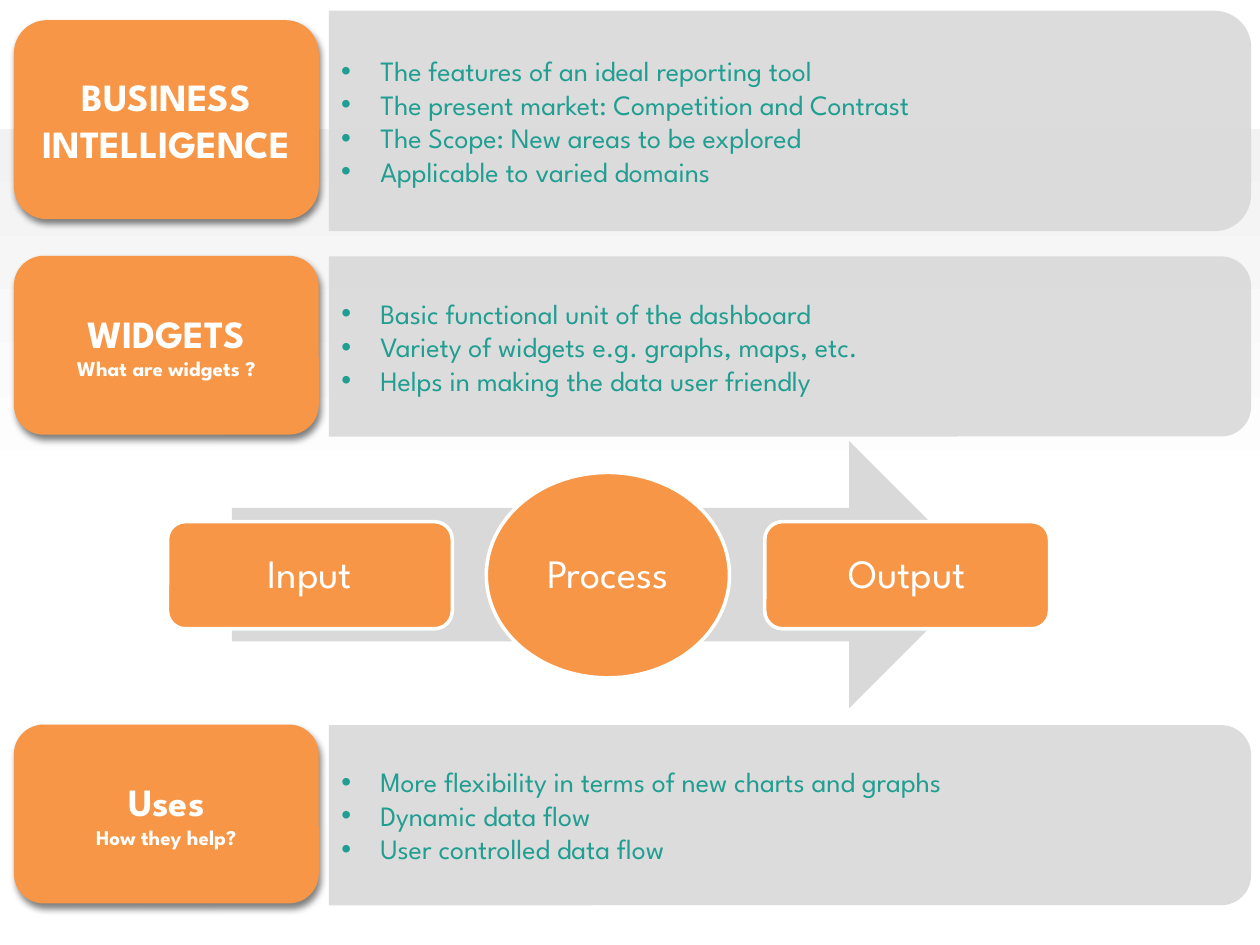
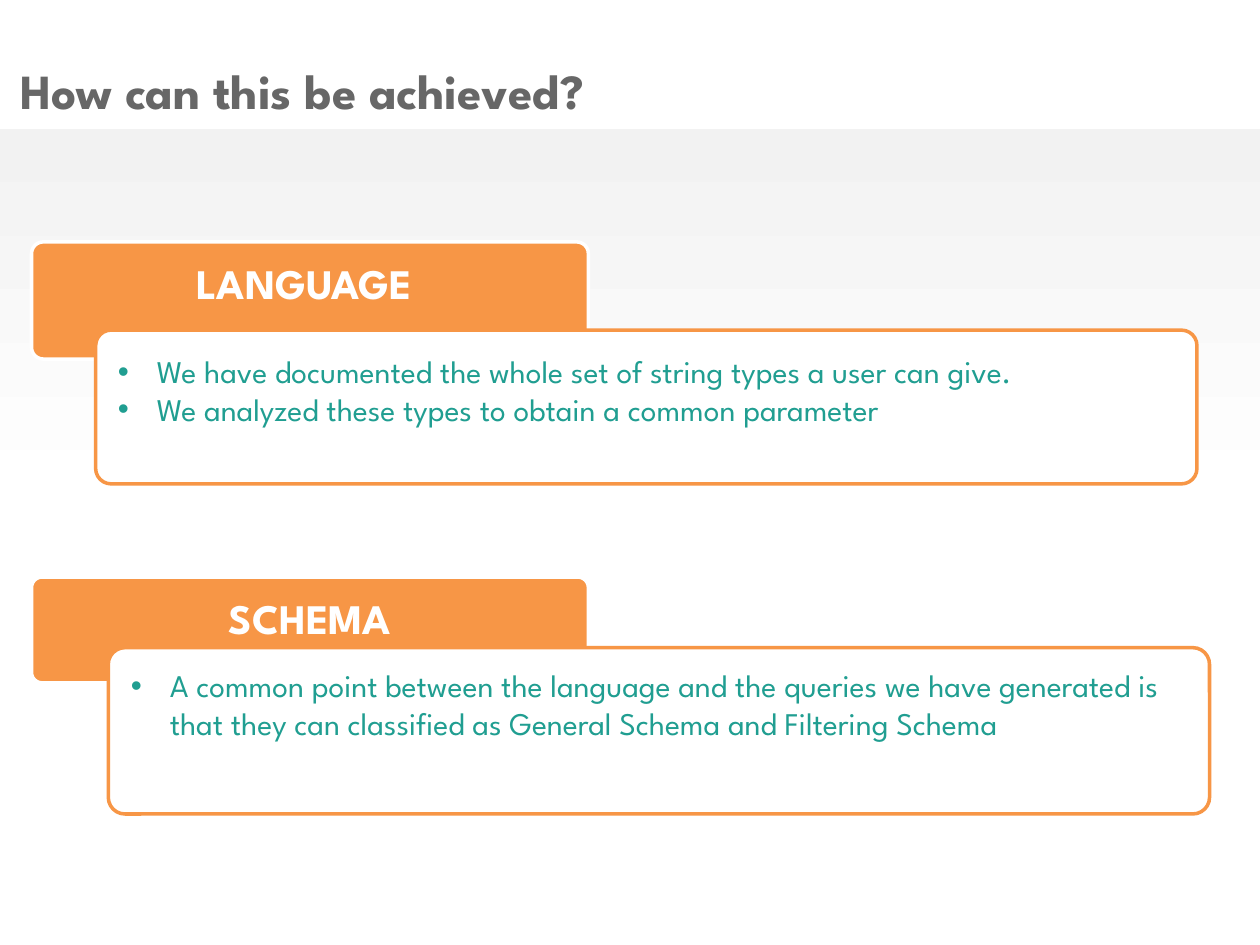
"""Build two slides on a dashboard reporting tool: an overview and its approach."""
from dataclasses import dataclass

import pptx
import pptx.dml.color
import pptx.enum.shapes
import pptx.enum.text
import pptx.oxml
import pptx.oxml.ns
import pptx.presentation
import pptx.shapes.autoshape
import pptx.slide
import pptx.text.text
import pptx.util
from lxml import etree

Inches = pptx.util.Inches
Pt = pptx.util.Pt
MSO = pptx.enum.shapes.MSO_SHAPE
ALIGN = pptx.enum.text.PP_ALIGN
ANCHOR = pptx.enum.text.MSO_ANCHOR
Shape = pptx.shapes.autoshape.Shape
Slide = pptx.slide.Slide
qn = pptx.oxml.ns.qn

FONT = "League Spartan"
COLORS = {
    "orange": "F79646",
    "gray": "D9D9D9",
    "teal": "209E91",
    "white": "FFFFFF",
    "band": "F2F2F2",
    "title": "676767",
    "shadow": "000000",
}
PANEL_CENTER_X, PANEL_WIDTH = 6.27, 7.32
CARD_LEFT, CARD_WIDTH = 0.11, 2.42
BULLET_INDENT = 0.31


@dataclass(frozen=True)
class Line:
    text: str
    size: float
    color: str = "white"
    bold: bool = False


@dataclass(frozen=True)
class Topic:
    top: float
    card_height: float
    panel_height: float
    heading: tuple[Line, ...]
    bullets: tuple[str, ...]


@dataclass(frozen=True)
class Step:
    name: str
    kind: MSO
    left: float
    top: float
    width: float
    height: float


@dataclass(frozen=True)
class Section:
    heading: str
    top: float
    tab_height: float
    panel_left: float
    panel_top: float
    panel_height: float
    panel_inset: float
    bullets: tuple[str, ...]


TOPICS = (
    Topic(0.16, 1.58, 1.75,
          (Line("BUSINESS", 22, bold=True), Line("INTELLIGENCE", 22, bold=True)),
          ("The features of an ideal reporting tool",
           "The present market: Competition and Contrast",
           "The Scope: New areas to be explored",
           "Applicable to varied domains")),
    Topic(2.03, 1.42, 1.43,
          (Line("WIDGETS", 22, bold=True), Line("What are widgets ?", 12, bold=True)),
          ("Basic functional unit of the dashboard",
           "Variety of widgets e.g. graphs, maps, etc.",
           "Helps in making the data user friendly")),
    Topic(5.75, 1.42, 1.43,
          (Line("Uses", 22, bold=True), Line("How they help?", 12, bold=True)),
          ("More flexibility in terms of new charts and graphs",
           "Dynamic data flow",
           "User controlled data flow")),
)
STEPS = (
    Step("Input", MSO.ROUNDED_RECTANGLE, 1.33, 4.14, 2.26, 0.85),
    Step("Process", MSO.FLOWCHART_CONNECTOR, 3.86, 3.75, 1.93, 1.63),
    Step("Output", MSO.ROUNDED_RECTANGLE, 6.07, 4.14, 2.26, 0.85),
)
SECTIONS = (
    Section("LANGUAGE ", 1.92, 0.93, 0.76, 2.62, 1.22, 0.14,
            ("We have documented the whole set of string types a user can give.",
             "We analyzed these types to obtain a common parameter")),
    Section("SCHEMA", 4.58, 0.84, 0.86, 5.14, 1.32, 0.11,
            ("A common point between the language and the queries we have generated is "
             "that they can classified as General Schema and Filtering Schema",)),
)


def rgb(name: str) -> pptx.dml.color.RGBColor:
    """Return the named palette colour."""
    return pptx.dml.color.RGBColor.from_string(COLORS[name])


def add_box(slide: Slide, kind: MSO, left: float, top: float, width: float, height: float,
            fill: str, line: str | None = None, alpha: int = 100) -> Shape:
    """Add a filled preset shape, with an optional outline and opacity in percent."""
    sp = slide.shapes.add_shape(kind, Inches(left), Inches(top), Inches(width), Inches(height))
    sp.shadow.inherit = False
    sp.fill.solid()
    sp.fill.fore_color.rgb = rgb(fill)
    if alpha < 100:
        clr = sp._element.spPr.find(qn("a:solidFill")).find(qn("a:srgbClr"))
        etree.SubElement(clr, qn("a:alpha"), val=str(alpha * 1000))
    if line:
        sp.line.color.rgb = rgb(line)
        sp.line.width = Pt(2)
    else:
        sp.line.fill.background()
    return sp


def add_shadow(sp: Shape) -> None:
    """Give a shape a soft shadow below and to the right."""
    effects = sp._element.spPr.find(qn("a:effectLst"))
    outer = etree.SubElement(effects, qn("a:outerShdw"), blurRad=str(Pt(4)),
                             dist=str(Pt(3)), dir=str(65 * 60000), rotWithShape="0")
    clr = etree.SubElement(outer, qn("a:srgbClr"), val=COLORS["shadow"])
    etree.SubElement(clr, qn("a:alpha"), val="49000")


def add_bullet(p: pptx.text.text._Paragraph) -> None:
    """Turn a paragraph into a bullet with a hanging indent."""
    pPr = p._p.get_or_add_pPr()
    pPr.set("marL", str(Inches(BULLET_INDENT)))
    pPr.set("indent", str(-Inches(BULLET_INDENT)))
    etree.SubElement(pPr, qn("a:buFont"), typeface="Arial")
    etree.SubElement(pPr, qn("a:buChar"), char="•")


def write(sp: Shape, lines: tuple[Line, ...], align: ALIGN = ALIGN.CENTER,
          anchor: ANCHOR = ANCHOR.MIDDLE, bulleted: bool = False) -> None:
    """Write one paragraph per line into a shape."""
    tf = sp.text_frame
    tf.word_wrap = True
    tf.vertical_anchor = anchor
    for i, line in enumerate(lines):
        p = tf.add_paragraph() if i else tf.paragraphs[0]
        p.alignment = align
        if bulleted:
            add_bullet(p)
        r = p.add_run()
        r.text = line.text
        r.font.name = FONT
        r.font.size = Pt(line.size)
        r.font.bold = line.bold
        r.font.color.rgb = rgb(line.color)


def write_bullets(sp: Shape, bullets: tuple[str, ...], size: float, anchor: ANCHOR) -> None:
    """Write teal bullets into a shape."""
    lines = tuple(Line(text, size, "teal") for text in bullets)
    write(sp, lines, ALIGN.LEFT, anchor, bulleted=True)


def set_insets(sp: Shape, inset: float, top: float) -> None:
    """Set the side and top insets of a shape's text."""
    tf = sp.text_frame
    tf.margin_left = tf.margin_right = Inches(inset)
    tf.margin_top = Inches(top)


def add_slide(prs: pptx.presentation.Presentation, layout: int) -> Slide:
    """Add a slide with the shared gradient band at the back."""
    s = prs.slides.add_slide(prs.slide_layouts[layout])
    band = add_box(s, MSO.RECTANGLE, 0, 1.02, 10, 2.98, "band")
    band.fill.gradient()
    band.fill.gradient_angle = 270
    for position, (stop, name) in enumerate(zip(band.fill.gradient_stops, ("band", "white"))):
        stop.color.rgb = rgb(name)
        stop.position = position
    s.shapes._spTree.insert(2, band._element)
    return s


def add_topic(s: Slide, topic: Topic) -> None:
    """Draw a heading card and the bullet panel on its right."""
    center_y = topic.top + topic.card_height / 2 + 0.01
    panel = add_box(s, MSO.ROUND_2_SAME_RECTANGLE,
                    PANEL_CENTER_X - topic.panel_height / 2, center_y - PANEL_WIDTH / 2,
                    topic.panel_height, PANEL_WIDTH, "gray", alpha=90)
    panel.rotation = 90
    write_bullets(panel, topic.bullets, 16, ANCHOR.MIDDLE)
    panel.text_frame._txBody.bodyPr.set("vert", "vert270")
    card = add_box(s, MSO.ROUNDED_RECTANGLE, CARD_LEFT, topic.top,
                   CARD_WIDTH, topic.card_height, "orange")
    add_shadow(card)
    write(card, topic.heading)


def add_step(s: Slide, step: Step) -> None:
    """Draw one step of the process arrow."""
    sp = add_box(s, step.kind, step.left, step.top, step.width, step.height, "orange", "white")
    write(sp, (Line(step.name, 23),))
    sp.text_frame.paragraphs[0].line_spacing = 0.9


def add_section(s: Slide, section: Section) -> None:
    """Draw a heading tab with an opaque bullet panel overlapping it."""
    tab = add_box(s, MSO.ROUNDED_RECTANGLE, 0.25, section.top, 4.42, section.tab_height,
                  "orange", "white")
    set_insets(tab, 0.09, 0.1)
    write(tab, (Line(section.heading, 24, bold=True),), anchor=ANCHOR.TOP)
    panel = add_box(s, MSO.ROUNDED_RECTANGLE, section.panel_left, section.panel_top,
                    8.74, section.panel_height, "white", "orange")
    set_insets(panel, 0.14, section.panel_inset)
    write_bullets(panel, section.bullets, 18, ANCHOR.TOP)
    for sp in (tab, panel):
        sp.adjustments[0] = 0.1


def build_overview(prs: pptx.presentation.Presentation) -> None:
    """Build the overview slide."""
    s = add_slide(prs, 6)
    for topic in TOPICS:
        add_topic(s, topic)
    add_box(s, MSO.RIGHT_ARROW, 1.84, 3.5, 5.96, 2.12, "gray")
    for step in STEPS:
        add_step(s, step)


def build_approach(prs: pptx.presentation.Presentation) -> None:
    """Build the approach slide."""
    s = add_slide(prs, 5)
    title = s.shapes.title
    title.left, title.top = Inches(0.06), Inches(0.33)
    title.width, title.height = Inches(9.37), Inches(0.76)
    write(title, (Line("How can this be achieved?", 28, "title", True),), ALIGN.LEFT)
    for section in SECTIONS:
        add_section(s, section)


def main() -> None:
    """Build and save the presentation."""
    prs = pptx.Presentation()
    prs.slide_width, prs.slide_height = Inches(10), Inches(7.5)
    build_overview(prs)
    build_approach(prs)
    prs.save("out.pptx")


if __name__ == "__main__":
    main()
